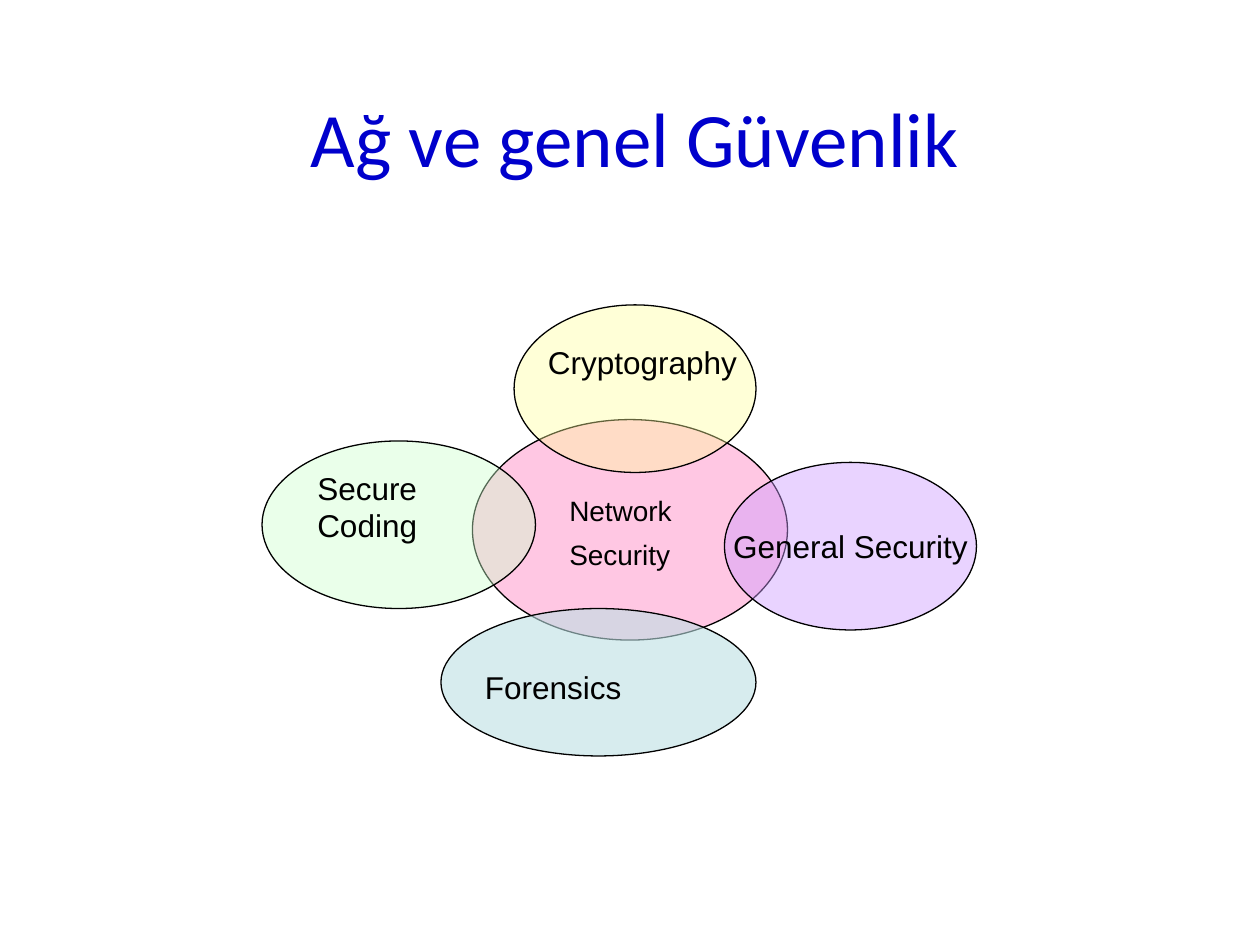
"""Build a slide of overlapping security fields around network security."""
from lxml.etree import SubElement
from pptx import Presentation
from pptx.dml.color import RGBColor
from pptx.enum.shapes import MSO_SHAPE as Shape
from pptx.enum.text import MSO_ANCHOR as Anchor, MSO_AUTO_SIZE as AutoSize, PP_ALIGN as Align
from pptx.oxml.ns import qn
from pptx.util import Inches, Pt


def color(value):
    return RGBColor.from_string(value)


class SlideBuilder:
    INK = "000000"
    TITLE_INK = "0000CC"
    BODY_FONT = "Arial"
    TITLE_FONT = "Calibri"

    def __init__(self, deck):
        self.page = deck.slides.add_slide(deck.slide_layouts[5])

    def style(self, para, font, size, ink):
        for span in para.runs:
            span.font.name = font
            span.font.size = Pt(size)
            span.font.color.rgb = color(ink)

    def title(self, text, left, top, width, height):
        box = self.page.shapes.title
        box.left, box.top = Inches(left), Inches(top)
        box.width, box.height = Inches(width), Inches(height)
        frame = box.text_frame
        frame.text = text
        frame.vertical_anchor = Anchor.MIDDLE
        frame.paragraphs[0].alignment = Align.CENTER
        self.style(frame.paragraphs[0], self.TITLE_FONT, 44, self.TITLE_INK)

    def ellipse(self, left, top, width, height, fill, opacity, text=""):
        oval = self.page.shapes.add_shape(
            Shape.OVAL, Inches(left), Inches(top), Inches(width), Inches(height))
        oval.shadow.inherit = False
        oval.fill.solid()
        oval.fill.fore_color.rgb = color(fill)
        tint = oval.fill._xPr.find(qn("a:solidFill"))[0]
        SubElement(tint, qn("a:alpha"), val=str(opacity * 1000))
        oval.line.color.rgb = color(self.INK)
        oval.line.width = Pt(0.75)
        if text:
            frame = oval.text_frame
            frame.text = text
            frame.word_wrap = False
            frame.vertical_anchor = Anchor.MIDDLE
            frame.paragraphs[0].alignment = Align.CENTER
            self.style(frame.paragraphs[0], self.BODY_FONT, 18, self.INK)

    def label(self, text, left, top, width, height, size=18, before=11.2, spacing=1.0):
        box = self.page.shapes.add_textbox(
            Inches(left), Inches(top), Inches(width), Inches(height))
        frame = box.text_frame
        frame.text = text
        frame.word_wrap = True
        frame.auto_size = AutoSize.SHAPE_TO_FIT_TEXT
        for para in frame.paragraphs:
            para.space_before = Pt(before)
            para.line_spacing = spacing
            self.style(para, self.BODY_FONT, size, self.INK)


def main():
    deck = Presentation()
    deck.slide_width, deck.slide_height = Inches(10), Inches(7.5)
    builder = SlideBuilder(deck)
    builder.title("Ağ ve genel Güvenlik", 0.54, 0.46, 9, 1.25)

    builder.ellipse(3.75, 3.33, 2.5, 1.75, "FF99CC", 54)
    builder.ellipse(5.75, 3.67, 2, 1.33, "CC99FF", 43, "General Security")
    builder.ellipse(4.08, 2.42, 1.92, 1.33, "FFFF99", 39)
    builder.ellipse(2.08, 3.5, 2.17, 1.33, "CCFFCC", 41)
    builder.ellipse(3.5, 4.83, 2.5, 1.17, "BBE0E3", 59)

    builder.label("Network\nSecurity", 4.42, 3.92, 1.08, 0.67, size=16, before=10, spacing=0.8)
    builder.label("Cryptography", 4.25, 2.67, 1.83, 0.4)
    builder.label("Forensics", 3.75, 5.25, 1.92, 0.4)
    builder.label("Secure Coding", 2.42, 3.67, 1.5, 0.7)
    deck.save("out.pptx")


if __name__ == "__main__":
    main()
